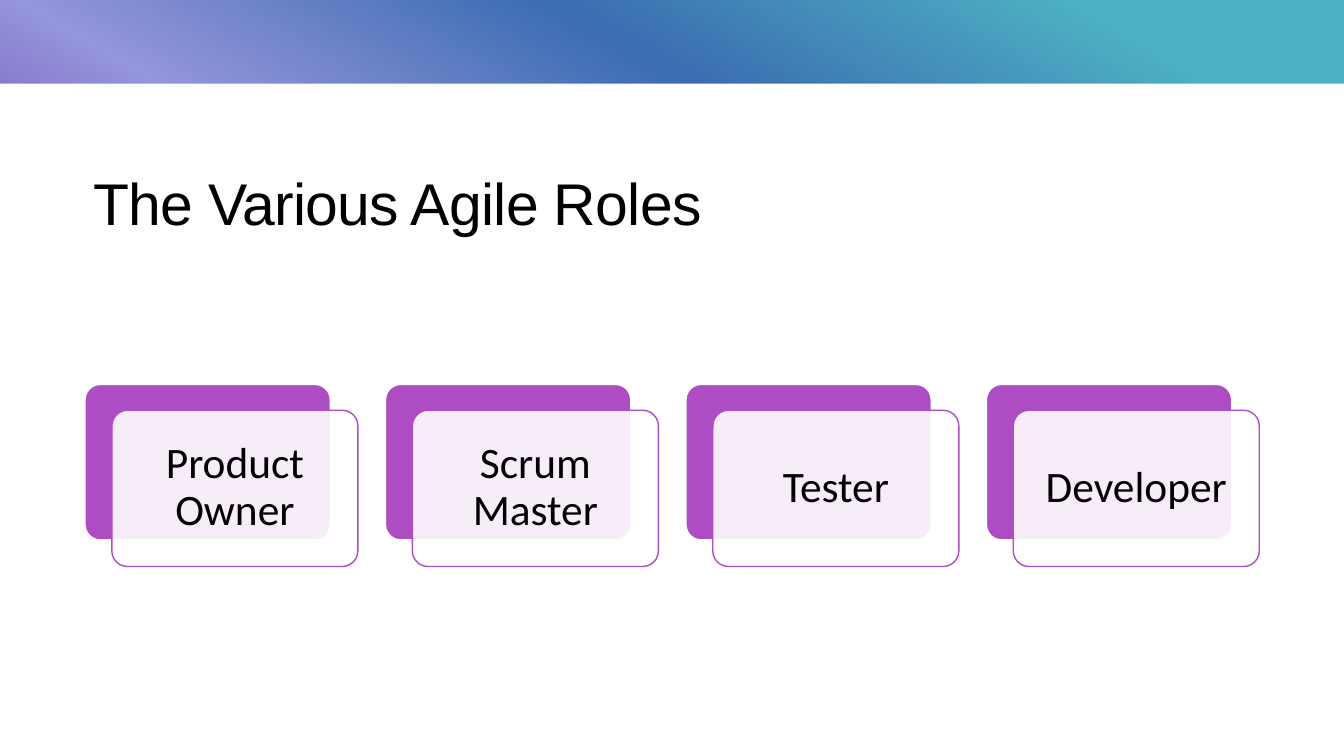
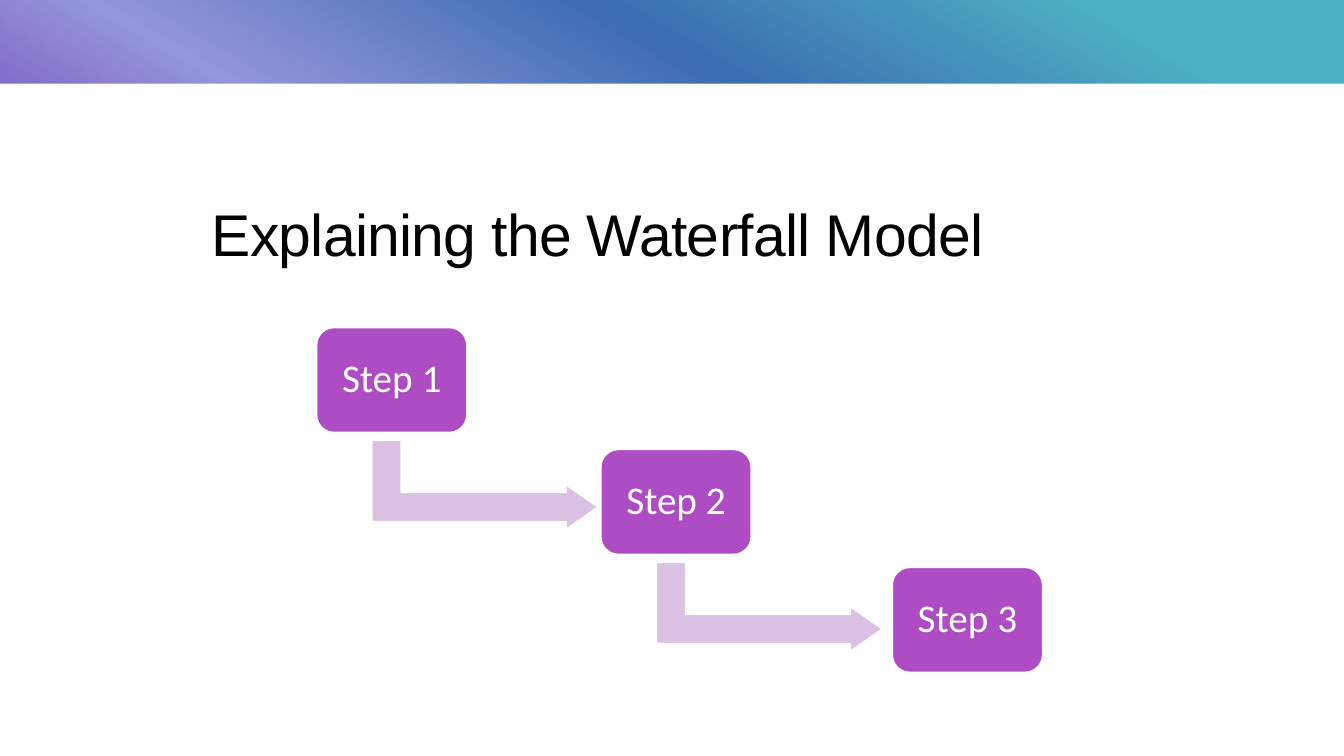
from lxml import etree
from pptx import Presentation
from pptx.dml.color import RGBColor
from pptx.enum import shapes, text
from pptx.oxml.ns import qn
from pptx.util import Inches, Pt

WHITE = RGBColor(0xFF, 0xFF, 0xFF)
BLACK = RGBColor(0x00, 0x00, 0x00)
PURPLE = RGBColor(0xAE, 0x4D, 0xC3)
LILAC = RGBColor(0xDB, 0xC2, 0xE4)
BAND = [
    (10, RGBColor(0x4D, 0xB1, 0xC3)),
    (30, RGBColor(0x3B, 0x6D, 0xB1)),
    (50, RGBColor(0x94, 0x95, 0xDB)),
    (70, RGBColor(0x6E, 0x3F, 0xB3)),
    (90, PURPLE),
]
WIDE, HIGH, EDGE = 13.33, 7.5, 0.83
KIND = shapes.MSO_SHAPE


class Deck:
    """Shared style plus the slide being filled."""

    def __init__(self):
        self.prs = Presentation()
        self.prs.slide_width = Inches(WIDE)
        self.prs.slide_height = Inches(HIGH)
        self.slide = None

    def start(self, title, left, top, width, height, depth):
        """Add a slide with its gradient band and title."""
        self.slide = self.prs.slides.add_slide(self.prs.slide_layouts[6])
        self.band(depth)
        self.shape(KIND.RECTANGLE, 0, EDGE, WIDE, HIGH - EDGE, WHITE)
        self.title(title, left, top, width, height)

    def shape(self, kind, left, top, width, height, fill,
              line=None, weight=1, adj=(), alpha=None):
        item = self.slide.shapes.add_shape(
            kind, Inches(left), Inches(top), Inches(width), Inches(height))
        item.shadow.inherit = False
        for num, value in enumerate(adj):
            item.adjustments[num] = value
        item.fill.solid()
        item.fill.fore_color.rgb = fill
        if alpha is not None:
            tone = item._element.spPr.find(qn("a:solidFill")).find(qn("a:srgbClr"))
            etree.SubElement(tone, qn("a:alpha"), val=str(alpha * 1000))
        if line is None:
            item.line.fill.background()
        else:
            item.line.color.rgb = line
            item.line.width = Pt(weight)
        return item

    def band(self, depth):
        """Gradient over the full depth; only the top strip stays visible."""
        item = self.shape(KIND.RECTANGLE, 0, 0, WIDE, depth, WHITE)
        item.fill.gradient()
        item.fill.gradient_angle = 240
        stops = item._element.spPr.find(".//" + qn("a:gsLst"))
        for old in list(stops):
            stops.remove(old)
        for place, tone in BAND:
            stop = etree.SubElement(stops, qn("a:gs"), pos=str(place * 1000))
            etree.SubElement(stop, qn("a:srgbClr"), val=str(tone))

    def words(self, frame, copy, font, size, color, gap):
        """Put one styled run in a text frame."""
        frame.word_wrap = True
        para = frame.paragraphs[0]
        para.line_spacing = gap
        run = para.add_run()
        run.text = copy
        run.font.name = font
        run.font.size = Pt(size)
        run.font.color.rgb = color
        return para, run

    def title(self, copy, left, top, width, height):
        box = self.slide.shapes.add_textbox(
            Inches(left), Inches(top), Inches(width), Inches(height))
        _, run = self.words(box.text_frame, copy, "Arial", 42, BLACK, 0.95)
        run._r.get_or_add_rPr().set("spc", "-50")

    def label(self, item, copy, size, color, inset):
        """Centre a label inside a shape."""
        frame = item.text_frame
        frame.margin_left = frame.margin_right = Inches(inset)
        frame.margin_top = frame.margin_bottom = Inches(inset)
        frame.vertical_anchor = text.MSO_ANCHOR.MIDDLE
        para, _ = self.words(frame, copy, "Calibri", size, color, 0.9)
        para.alignment = text.PP_ALIGN.CENTER

    def card(self, copy, left, top):
        """Purple card with a translucent labelled card over it."""
        size = 2.44, 1.55
        self.shape(KIND.ROUNDED_RECTANGLE, left, top, *size, PURPLE,
                   WHITE, 1.5, [0.1])
        front = self.shape(KIND.ROUNDED_RECTANGLE, left + 0.27, top + 0.26,
                           *size, WHITE, PURPLE, 1, [0.1], 90)
        self.label(front, copy, 31, BLACK, 0.13)

    def step(self, copy, left, top):
        box = self.shape(KIND.ROUNDED_RECTANGLE, left, top, 1.49, 1.04,
                         PURPLE, WHITE, 1, [0.167])
        self.label(box, copy, 28, WHITE, 0.12)

    def arrow(self, left, top):
        """Bent arrow leading from the step at this place to the next."""
        item = self.shape(KIND.BENT_UP_ARROW, left + 1.23, top + 0.44,
                          0.88, 2.24, LILAC, WHITE, 1, [0.328, 0.25, 0.358])
        item.rotation = 90


def main():
    deck = Deck()

    # Agile roles: four cards at an equal pitch
    deck.start("The Various Agile Roles", 0.83, 1.66, 11.67, 1.47, HIGH)
    roles = ["Product Owner", "Scrum Master", "Tester", "Developer"]
    for num, role in enumerate(roles):
        deck.card(role, 0.84 + 2.98 * num, 3.81)

    # Waterfall: steps going down, joined by arrows
    deck.start("Explaining the Waterfall Model", 2, 1.96, 9.33, 1.17, 6.68)
    spots = [(3.14, 3.25), (5.96, 4.46), (8.85, 5.63)]
    for spot in spots[:-1]:
        deck.arrow(*spot)
    for num, spot in enumerate(spots, 1):
        deck.step(f"Step {num}", *spot)

    deck.prs.save("out.pptx")


if __name__ == "__main__":
    main()
